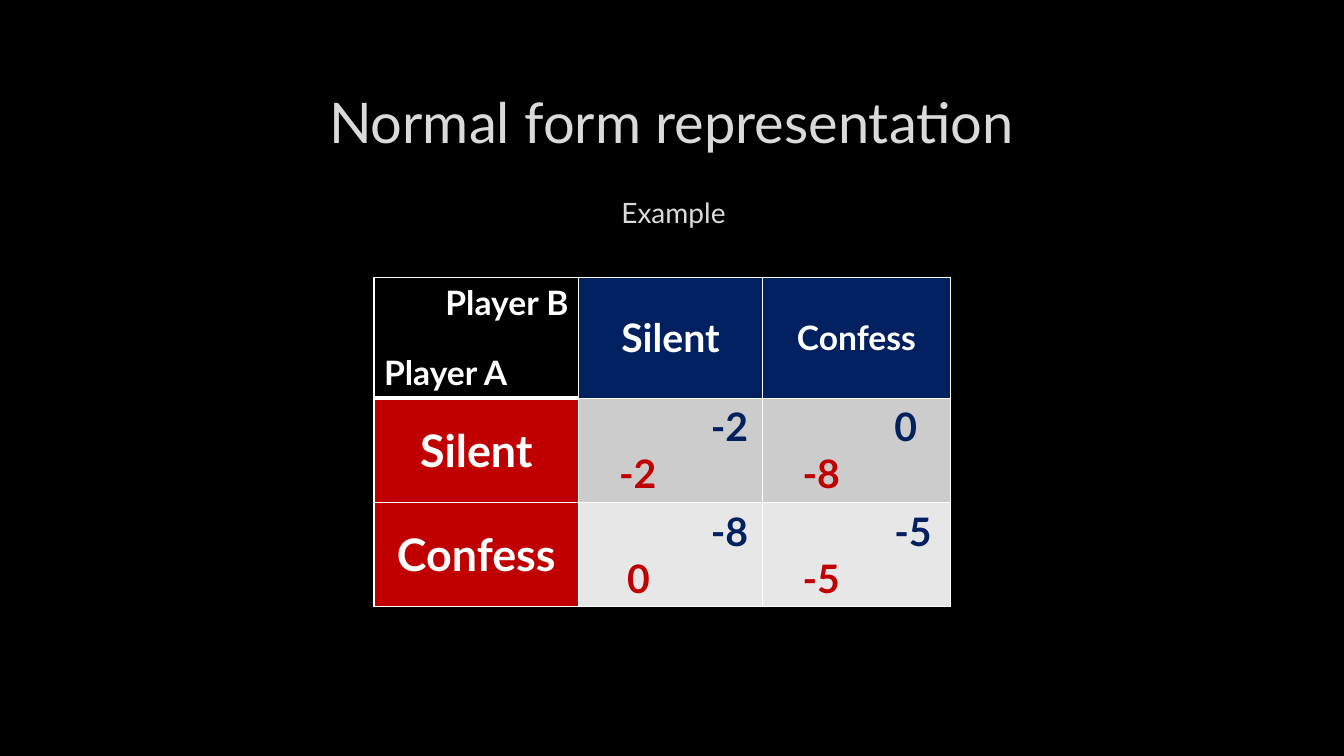
from dataclasses import dataclass

from lxml.etree import SubElement
from pptx import Presentation
from pptx.dml.color import RGBColor as RGB
from pptx.enum.text import MSO_ANCHOR as Anchor, PP_ALIGN as Align
from pptx.oxml.ns import qn
from pptx.util import Inches, Pt


@dataclass(frozen=True)
class Theme:
    font: str = "Lato"
    black: str = "000000"
    white: str = "FFFFFF"
    heading: str = "DADADA"
    player_a: str = "C00000"
    player_b: str = "002060"
    bands: tuple = ("CCCCCC", "E7E7E7")
    title: int = 40
    subtitle: int = 20
    label: int = 24
    column: int = 28
    row: int = 32
    payoff: int = 28


def write(p, text, size, color, font, bold=True, align=Align.LEFT, indent=0):
    if indent:
        p._p.get_or_add_pPr().set("marL", str(Inches(indent)))
    p.alignment = align
    r = p.add_run()
    r.text = text
    r.font.name, r.font.size, r.font.bold = font, Pt(size), bold
    r.font.color.rgb = RGB.from_string(color)


class Deck:
    """Holds the theme and the current slide, and adds elements to it."""

    def __init__(self, theme):
        self.theme = theme
        self.prs = Presentation()
        self.prs.slide_width, self.prs.slide_height = Inches(13.33), Inches(7.5)
        self.slide = self.prs.slides.add_slide(self.prs.slide_layouts[5])
        fill = self.slide.background.fill
        fill.solid()
        fill.fore_color.rgb = RGB.from_string(theme.black)

    def title(self, text, box):
        sp = self.slide.shapes.title
        sp.left, sp.top, sp.width, sp.height = map(Inches, box)
        tf = sp.text_frame
        tf.vertical_anchor = Anchor.MIDDLE
        write(tf.paragraphs[0], text, self.theme.title, self.theme.heading,
              self.theme.font, bold=False, align=Align.CENTER)

    def text(self, text, box, size, color, **style):
        tf = self.slide.shapes.add_textbox(*map(Inches, box)).text_frame
        tf.word_wrap = True
        write(tf.paragraphs[0], text, size, color, self.theme.font, **style)

    def table(self, box, widths, heights):
        frame = self.slide.shapes.add_table(len(heights), len(widths), *map(Inches, box))
        table = frame.table
        for column, width in zip(table.columns, widths):
            column.width = Inches(width)
        for row, height in zip(table.rows, heights):
            row.height = Inches(height)
        return table

    def cell(self, cell, fill, top=1, bottom=1, anchor=Anchor.MIDDLE):
        tcPr = cell._tc.get_or_add_tcPr()
        for side, width in zip("LRTB", (1, 1, top, bottom)):
            ln = SubElement(tcPr, qn(f"a:ln{side}"), w=str(Pt(width)))
            SubElement(SubElement(ln, qn("a:solidFill")), qn("a:srgbClr"), val=self.theme.white)
        cell.fill.solid()
        cell.fill.fore_color.rgb = RGB.from_string(fill)
        cell.vertical_anchor = anchor
        return cell.text_frame

    def label(self, cell, text, size, fill, align=Align.CENTER, **style):
        tf = self.cell(cell, fill, **style)
        write(tf.paragraphs[0], text, size, self.theme.white, self.theme.font, align=align)

    def payoff(self, cell, a, b, fill, top):
        t = self.theme
        tf = self.cell(cell, fill, top=top, anchor=Anchor.TOP)
        write(tf.paragraphs[0], b, t.payoff, t.player_b, t.font, indent=1.21)
        write(tf.add_paragraph(), a, t.payoff, t.player_a, t.font,
              indent=0.3 if a.startswith("-") else 0.38)


def main():
    t = Theme()
    deck = Deck(t)
    deck.title("Normal form representation", (1, 0.67, 11.32, 1.06))
    deck.text("Example", (1, 1.89, 11.32, 0.4), t.subtitle, t.heading,
              bold=False, align=Align.CENTER, indent=0.04)

    game = deck.table((3.71, 2.75, 5.72, 3.27), (2.03, 1.82, 1.87), (1.2, 1.03, 1.03))
    deck.label(game.cell(0, 0), "Player A", t.label, t.black,
               align=Align.LEFT, bottom=3, anchor=Anchor.BOTTOM)
    for col, (move, size) in enumerate((("Silent", t.column), ("Confess", t.label)), 1):
        deck.label(game.cell(0, col), move, size, t.player_b, bottom=0.25)

    outcomes = (
        ("Silent", (("-2", "-2"), ("-8", "0"))),
        ("Confess", (("0", "-8"), ("-5", "-5"))),
    )
    for row, (move, payoffs) in enumerate(outcomes, 1):
        deck.label(game.cell(row, 0), move, t.row, t.player_a, top=3 if row == 1 else 1)
        for col, (a, b) in enumerate(payoffs, 1):
            deck.payoff(game.cell(row, col), a, b, t.bands[row - 1],
                        top=0.25 if row == 1 else 1)

    deck.text("Player B", (4.32, 2.75, 1.71, 0.5), t.label, t.white)
    deck.prs.save("out.pptx")


if __name__ == "__main__":
    main()
